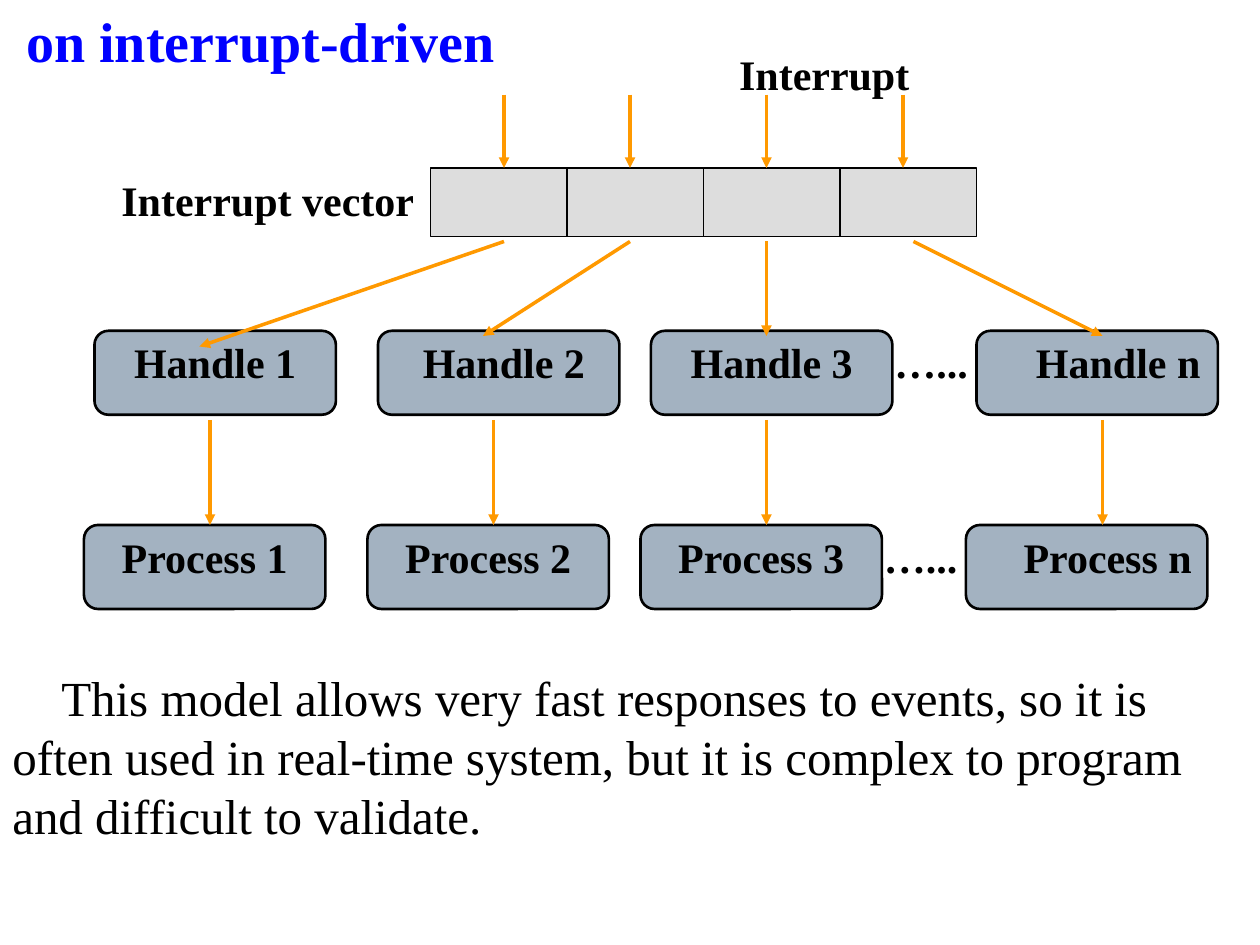
from dataclasses import dataclass

from lxml.etree import SubElement
from pptx import Presentation
from pptx.dml.color import RGBColor
from pptx.enum.shapes import MSO_CONNECTOR, MSO_SHAPE
from pptx.enum.text import PP_ALIGN
from pptx.oxml.ns import qn
from pptx.util import Pt


@dataclass(frozen=True)
class Theme:
    font: str = "Times New Roman"
    ink: str = "000000"
    heading: str = "0000FF"
    arrow: str = "FF9900"
    stage: str = "A3B2C1"
    vector: str = "DDDDDD"
    title_size: float = 32
    label_size: float = 24
    body_size: float = 28


THEME = Theme()


def add_text(slide, text, left, top, width, height, *, size=THEME.label_size,
             color=THEME.ink, bold=True, align=PP_ALIGN.CENTER, margin=0, indent=0):
    frame = slide.shapes.add_textbox(Pt(left), Pt(top), Pt(width), Pt(height)).text_frame
    frame.word_wrap = True
    paragraph = frame.paragraphs[0]
    paragraph.text = text
    paragraph.alignment = align
    properties = paragraph._p.get_or_add_pPr()
    properties.set("marL", str(Pt(margin)))
    properties.set("indent", str(Pt(indent)))
    font = paragraph.runs[0].font
    font.name = THEME.font
    font.size = Pt(size)
    font.bold = bold
    font.color.rgb = RGBColor.from_string(color)


def add_box(slide, preset, left, top, width, height, fill, outline):
    box = slide.shapes.add_shape(preset, Pt(left), Pt(top), Pt(width), Pt(height))
    box.shadow.inherit = False
    box.fill.solid()
    box.fill.fore_color.rgb = RGBColor.from_string(fill)
    box.line.color.rgb = RGBColor.from_string(THEME.ink)
    box.line.width = Pt(outline)


def add_arrow(slide, start_x, start_y, end_x, end_y):
    arrow = slide.shapes.add_connector(
        MSO_CONNECTOR.STRAIGHT, Pt(start_x), Pt(start_y), Pt(end_x), Pt(end_y))
    arrow.line.color.rgb = RGBColor.from_string(THEME.arrow)
    arrow.line.width = Pt(2)
    SubElement(arrow.line._get_or_add_ln(), qn("a:tailEnd"), type="triangle")
    SubElement(arrow._element.spPr, qn("a:effectLst"))


def add_stage_row(slide, name, offset, top, nudges):
    lefts = [48, 210, 366, 552]
    label_widths = [150, 150, 150, 174]
    for left in lefts:
        add_box(slide, MSO_SHAPE.FLOWCHART_ALTERNATE_PROCESS,
                left + offset, top, 138, 48, THEME.stage, 1.5)
    for number, left, width, nudge in zip("123n", lefts, label_widths, nudges):
        add_text(slide, f"{name} {number}", left + offset - 6, top, width, 50, margin=nudge)
    add_text(slide, "…...", 498 + offset, top, 60, 50, align=PP_ALIGN.LEFT)


def add_interrupt_vector(slide):
    for index in range(4):
        add_box(slide, MSO_SHAPE.RECTANGLE, 246 + 78 * index, 96, 78, 39, THEME.vector, 0.75)


def add_flow_arrows(slide):
    for x in (288, 360, 438, 516):
        add_arrow(slide, x, 54, x, 96)
    for vector_x, handle_x, handle_y in (
            (288, 114, 198), (360, 276, 192), (438, 438, 192), (522, 630, 192)):
        add_arrow(slide, vector_x, 138, handle_x, handle_y)
    for x in (120, 282, 438, 630):
        add_arrow(slide, x, 240, x, 300)


def main():
    deck = Presentation()
    deck.slide_width, deck.slide_height = Pt(720), Pt(540)
    slide = deck.slides.add_slide(deck.slide_layouts[6])

    add_text(slide, "on interrupt-driven", 0, 0, 720, 45, size=THEME.title_size,
             color=THEME.heading, align=PP_ALIGN.LEFT, margin=8)
    add_stage_row(slide, "Process", 0, 300, (0, 0, 0, 0))
    add_stage_row(slide, "Handle", 6, 189, (0, 6, 0, 0))
    add_interrupt_vector(slide)
    add_flow_arrows(slide)
    add_text(slide, "Interrupt", 396, 24, 150, 50)
    add_text(slide, "Interrupt vector", 60, 96, 186, 50)
    add_text(slide, "This model allows very fast responses to events, so it is often used in "
             "real-time system, but it is complex to program and difficult to validate.",
             0, 378, 720, 118, size=THEME.body_size, bold=False,
             align=PP_ALIGN.LEFT, indent=28)

    deck.save("out.pptx")


if __name__ == "__main__":
    main()
